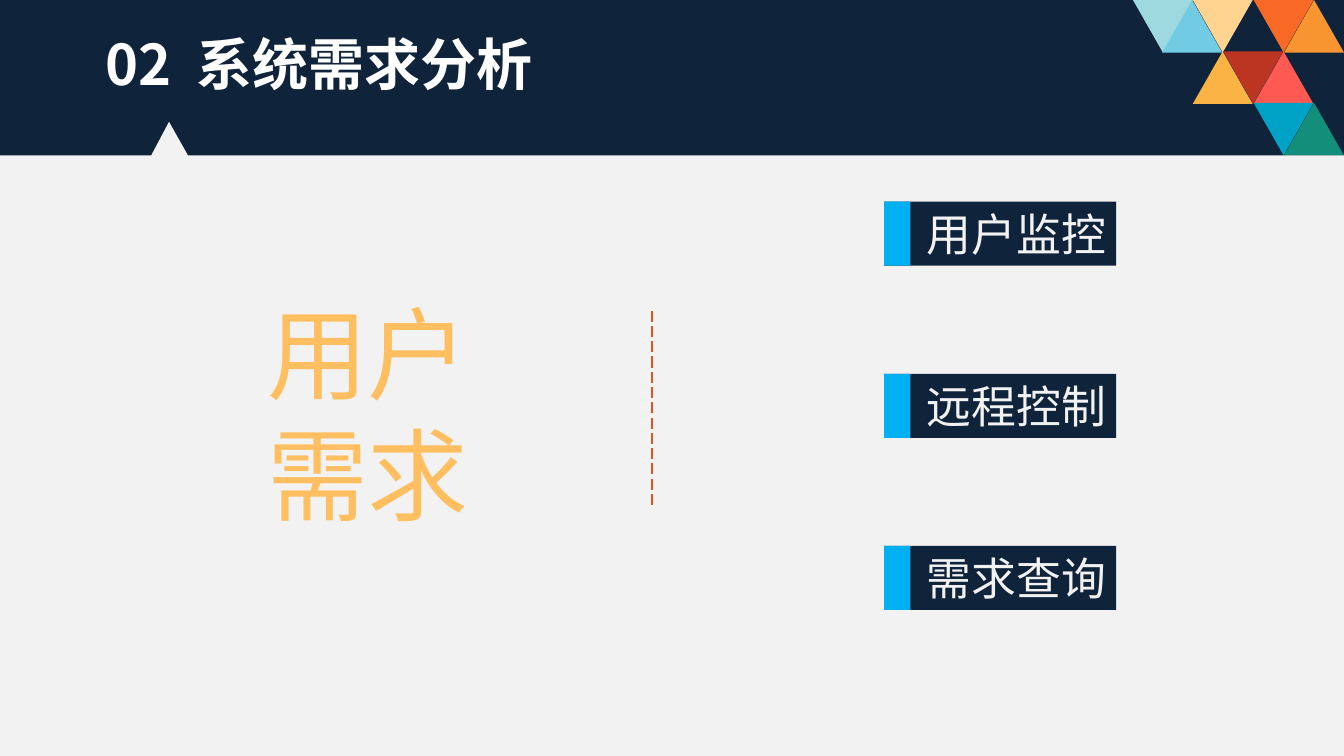
from lxml import etree
from pptx import Presentation
from pptx.dml.color import RGBColor
from pptx.enum.dml import MSO_LINE
from pptx.enum.shapes import MSO_CONNECTOR, MSO_SHAPE
from pptx.enum.text import MSO_ANCHOR, MSO_AUTO_SIZE, PP_ALIGN
from pptx.oxml.ns import qn
from pptx.util import Pt

PX = 9525
TRIANGLE, RECTANGLE = MSO_SHAPE.ISOSCELES_TRIANGLE, MSO_SHAPE.RECTANGLE
STRAIGHT, LONG_DASH = MSO_CONNECTOR.STRAIGHT, MSO_LINE.LONG_DASH
MIDDLE, TOP = MSO_ANCHOR.MIDDLE, MSO_ANCHOR.TOP
LEFT, RIGHT = PP_ALIGN.LEFT, PP_ALIGN.RIGHT
NO_AUTOFIT = MSO_AUTO_SIZE.NONE
SC, JP = "Noto Sans CJK SC", "Noto Sans CJK JP"

COLORS = {
    "navy": "0F233B", "paper": "F2F2F2", "white": "FFFFFF", "heading": "FFBF61",
    "divider": "DF5327", "accent": "00B0F0", "brick": "BC3523", "coral": "FF5953",
    "orange": "F86926", "amber": "F89531", "gold": "FBB343", "cream": "FFD491",
    "green": "128E7B", "mist": "9FD9E0", "sky": "71CCE3", "teal": "00A2C6",
}
MOSAIC = [
    (0, 0, "mist"), (1, 0, "sky"), (2, 0, "cream"), (4, 0, "orange"), (5, 0, "amber"),
    (2, 1, "gold"), (3, 1, "brick"), (4, 1, "coral"), (4, 2, "teal"), (5, 2, "green"),
]
NEEDS = ["用户监控", "远程控制", "需求查询"]


def rgb(name):
    return RGBColor.from_string(COLORS[name])


def px(*lengths):
    return [length * PX for length in lengths]


def paint(shape, color):
    shape.shadow.inherit = False
    shape.fill.solid()
    shape.fill.fore_color.rgb = rgb(color)
    shape.line.fill.background()


def add_block(shapes, kind, box, color):
    block = shapes.add_shape(kind, *px(*box))
    paint(block, color)
    return block


def format_text(frame, size, face, color, align, anchor, bold=False):
    frame.word_wrap = True
    frame.auto_size = NO_AUTOFIT
    frame.vertical_anchor = anchor
    paragraph = frame.paragraphs[0]
    paragraph.alignment = align
    font = paragraph.font
    font.size, font.name, font.bold = Pt(size), face, bold
    font.color.rgb = rgb(color)
    east_asian = etree.SubElement(paragraph._p.pPr.find(qn("a:defRPr")), qn("a:ea"))
    east_asian.set("typeface", face)
    return paragraph


def add_panel(slide, box):
    left, top, width, height = box
    right, bottom, shoulder = left + width, top + height, top + 32
    outline = slide.shapes.build_freeform(left + 161, top, scale=PX)
    outline.add_line_segments([
        (left + 179, shoulder), (right, shoulder), (right, bottom),
        (left, bottom), (left, shoulder), (left + 144, shoulder),
    ])
    paint(outline.convert_to_shape(), "paper")


def add_mosaic(slide, box):
    left, top, width, height = box
    side, row_step = 57, 49
    for column, row, color in MOSAIC:
        x = left + column * (width - side) // 5
        triangle = add_block(slide.shapes, TRIANGLE, (x, top + row * row_step, side, 50), color)
        if (column + row) % 2 == 0:
            triangle.rotation = 180


def add_title(slide, box):
    title = slide.shapes.title
    title.left, title.top, title.width, title.height = px(*box)
    paragraph = format_text(title.text_frame, 40, SC, "white", LEFT, MIDDLE, bold=True)
    number, gap, topic = [paragraph.add_run() for _ in range(3)]
    number.text, gap.text, topic.text = "02", " ", "系统需求分析"
    gap.font._element.set("spc", "900")


def add_heading(slide, box):
    heading = slide.shapes.add_textbox(*px(*box)).text_frame
    heading.text = "用户需求"
    paragraph = format_text(heading, 72, JP, "heading", LEFT, TOP)
    paragraph.line_spacing = Pt(86.4)
    heading.margin_top = 12 * PX


def add_divider(slide, box):
    left, top, width, height = box
    divider = slide.shapes.add_connector(STRAIGHT, *px(left, top + height, left + width, top))
    divider.line.color.rgb = rgb("divider")
    divider.line.width = Pt(1)
    divider.line.dash_style = LONG_DASH
    etree.SubElement(divider._element.spPr, qn("a:effectLst"))


def add_needs(slide, box):
    left, top, width, height = box
    label_height = 61
    step = (height - label_height) // (len(NEEDS) - 1)
    for index, need in enumerate(NEEDS):
        y = top + index * step
        group = slide.shapes.add_group_shape()
        label = add_block(group.shapes, RECTANGLE, (left, y, width, label_height), "navy")
        label.text_frame.text = need
        format_text(label.text_frame, 32, SC, "paper", RIGHT, MIDDLE)
        label.text_frame.margin_top = label.text_frame.margin_bottom = 0
        add_block(group.shapes, RECTANGLE, (left, y, 25, label_height), "accent")


def main():
    deck = Presentation()
    deck.slide_width, deck.slide_height = px(1280, 720)
    slide = deck.slides.add_slide(deck.slide_layouts[5])
    slide.background.fill.solid()
    slide.background.fill.fore_color.rgb = rgb("navy")
    add_mosaic(slide, (1079, 0, 201, 148))
    add_panel(slide, (0, 116, 1280, 604))
    add_title(slide, (91, 23, 472, 74))
    add_heading(slide, (245, 266, 219, 242))
    add_divider(slide, (621, 292, 0, 189))
    add_needs(slide, (842, 192, 221, 389))
    deck.save("out.pptx")


if __name__ == "__main__":
    main()
